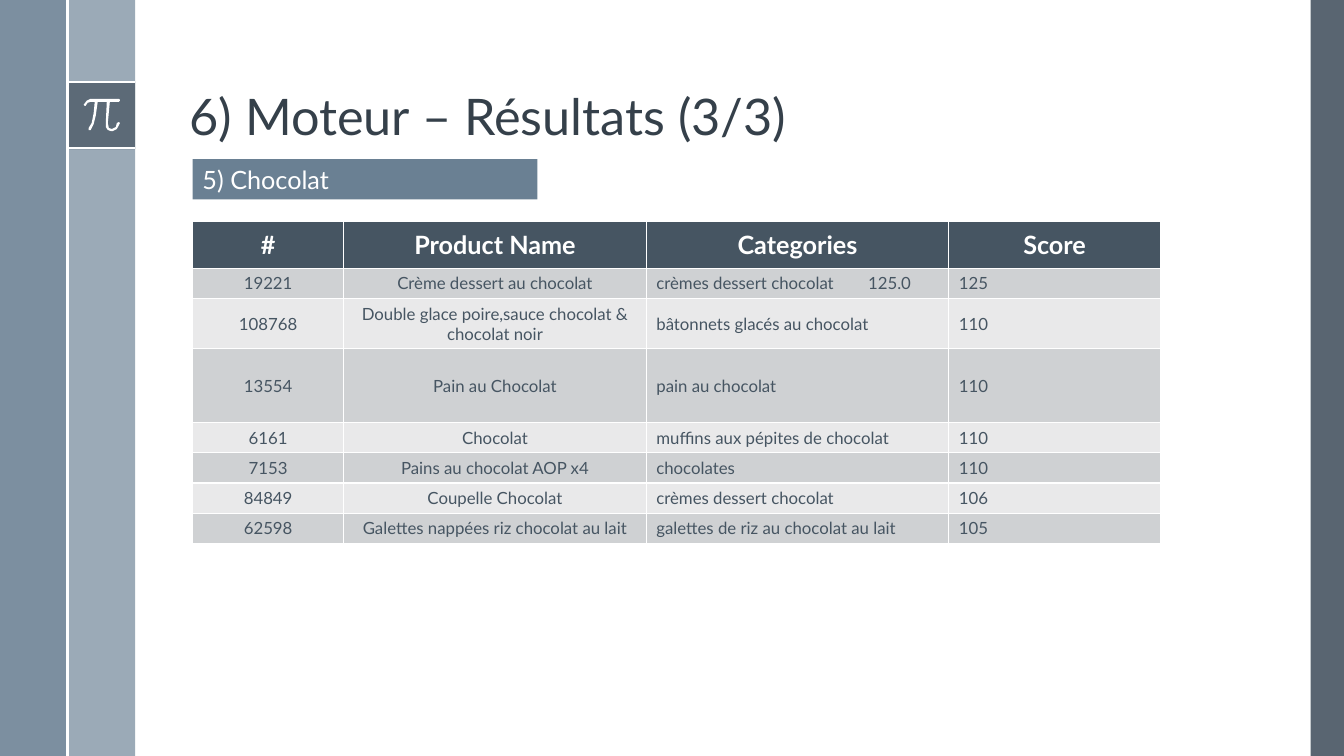
from dataclasses import dataclass

from lxml.etree import SubElement
from pptx import Presentation
from pptx.dml.color import RGBColor
from pptx.enum.shapes import MSO_CONNECTOR, MSO_SHAPE
from pptx.enum.text import MSO_ANCHOR, PP_ALIGN
from pptx.oxml.ns import qn
from pptx.util import Pt

PX = 9144
SLIDE_WIDTH, SLIDE_HEIGHT = 1333, 750


@dataclass(frozen=True)
class Theme:
    """Colours and type sizes of the slide."""
    font: str = "Lato"
    white: str = "FFFFFF"
    slate: str = "475562"
    mist: str = "9BAAB7"
    steel: str = "6A8093"
    title: str = "35404A"
    table_ink: str = "465562"
    odd_row: str = "CFD1D3"
    even_row: str = "E9E9EA"
    title_size: int = 36
    heading_size: int = 18
    cell_size: int = 12


THEME = Theme()

PI_OUTLINE = [
    (35, 0), (7, 0), (3, 2), (0, 6), (1, 7), (2, 7), (4, 4), (7, 3), (11, 3),
    (10, 14), (8, 24), (5, 29), (5, 31), (6, 31), (7, 31), (10, 25), (12, 17),
    (14, 3), (23, 3), (22, 24), (22, 28), (24, 31), (27, 32), (29, 32), (33, 30),
    (36, 24), (35, 23), (33, 24), (32, 28), (28, 30), (25, 29), (24, 24),
    (26, 3), (35, 3), (36, 2), (36, 1),
]

COLUMN_WIDTHS = [150, 300, 300, 210]
ROW_HEIGHTS = [46, 30, 50, 73, 30, 30, 30, 30]
RESULTS = [
    ("#", "Product Name", "Categories", "Score"),
    ("19221", "Crème dessert au chocolat", "crèmes dessert chocolat\t125.0", "125"),
    ("108768", "Double glace poire,sauce chocolat & chocolat noir",
     "bâtonnets glacés au chocolat", "110"),
    ("13554", "Pain au Chocolat", "pain au chocolat", "110"),
    ("6161", "Chocolat", "muffins aux pépites de chocolat", "110"),
    ("7153", "Pains au chocolat AOP x4", "chocolates", "110"),
    ("84849", "Coupelle Chocolat", "crèmes dessert chocolat", "106"),
    ("62598", "Galettes nappées riz chocolat au lait",
     "galettes de riz au chocolat au lait", "105"),
]


def emu(*lengths):
    """Turn px lengths into EMU."""
    return [length * PX for length in lengths]


def paint(shape, colour, opacity=100):
    """Give a shape a plain fill without outline or shadow."""
    shape.shadow.inherit = False
    shape.line.fill.background()
    shape.fill.solid()
    shape.fill.fore_color.rgb = RGBColor.from_string(colour)
    if opacity < 100:
        tint = shape.fill._xPr.find(qn("a:solidFill"))[0]
        SubElement(tint, qn("a:alpha"), val=str(opacity * 1000))


def add_block(slide, box, colour, opacity=100):
    """Add a filled rectangle in the given box."""
    block = slide.shapes.add_shape(MSO_SHAPE.RECTANGLE, *emu(*box))
    paint(block, colour, opacity)
    return block


def add_rule(slide, x1, y1, x2, y2):
    """Add a thin white line."""
    rule = slide.shapes.add_connector(MSO_CONNECTOR.STRAIGHT, *emu(x1, y1, x2, y2))
    rule.line.color.rgb = RGBColor.from_string(THEME.white)
    rule.line.width = Pt(1.5)
    SubElement(rule._element.spPr, qn("a:effectLst"))


def style_text(paragraph, size, colour, align=PP_ALIGN.LEFT, bold=False):
    """Format a paragraph and its runs."""
    paragraph.alignment = align
    for run in paragraph.runs:
        run.font.name = THEME.font
        run.font.size = Pt(size)
        run.font.bold = bold
        run.font.color.rgb = RGBColor.from_string(colour)


def add_side_bands(slide, box):
    """Draw the left bands with the pi badge and the right edge."""
    left, top, width, height = box
    band, edge = 67, 33
    badge_left, badge_top = left + band, top + 81
    badge_right = badge_left + band
    add_block(slide, (left + width - edge, top, edge, height), THEME.slate, 90)
    add_block(slide, (badge_left, top, band, height), THEME.mist)
    add_block(slide, (left, top, band, height), THEME.steel, 88)
    add_block(slide, (badge_left, badge_top, band, band), THEME.slate, 75)
    for y in (badge_top, badge_top + 66):
        add_rule(slide, badge_left, y, badge_right, y)
    outline = slide.shapes.build_freeform(*PI_OUTLINE[0], scale=PX)
    outline.add_line_segments(PI_OUTLINE[1:], close=True)
    pi_sign = outline.convert_to_shape(*emu(badge_left + 16, badge_top + 17))
    paint(pi_sign, THEME.white)
    add_rule(slide, badge_left, top, badge_left, top + height)


def fill_title(slide, box):
    """Place and format the slide title."""
    title = slide.shapes.title
    title.left, title.top, title.width, title.height = emu(*box)
    title.text_frame.text = "6) Moteur – Résultats (3/3)"
    title.text_frame.vertical_anchor = MSO_ANCHOR.BOTTOM
    heading = title.text_frame.paragraphs[0]
    heading.line_spacing = 0.9
    style_text(heading, THEME.title_size, THEME.title)


def add_query_label(slide, box):
    """Add the label naming the search query."""
    label = add_block(slide, box, THEME.steel)
    label.text_frame.text = "5) Chocolat"
    style_text(label.text_frame.paragraphs[0], THEME.heading_size, THEME.white)


def fill_cell(cell, text, row, column):
    """Write one table cell and format it by its row and column."""
    header = row == 0
    body_fill = THEME.odd_row if row % 2 else THEME.even_row
    cell.fill.solid()
    cell.fill.fore_color.rgb = RGBColor.from_string(
        THEME.table_ink if header else body_fill)
    cell.vertical_anchor = MSO_ANCHOR.MIDDLE
    cell.text_frame.text = text
    paragraph = cell.text_frame.paragraphs[0]
    style_text(
        paragraph,
        THEME.heading_size if header else THEME.cell_size,
        THEME.white if header else THEME.table_ink,
        PP_ALIGN.CENTER if header or column < 2 else PP_ALIGN.LEFT,
        header,
    )
    if "\t" in text:
        stops = SubElement(paragraph._p.get_or_add_pPr(), qn("a:tabLst"))
        SubElement(stops, qn("a:tab"), pos=str(210 * PX), algn="l")


def add_results_table(slide, left, top):
    """Add the table of search results."""
    box = emu(left, top, sum(COLUMN_WIDTHS), sum(ROW_HEIGHTS))
    table = slide.shapes.add_table(len(RESULTS), len(COLUMN_WIDTHS), *box).table
    for column, width in zip(table.columns, COLUMN_WIDTHS):
        column.width = width * PX
    for row, height in zip(table.rows, ROW_HEIGHTS):
        row.height = height * PX
    for row, result in enumerate(RESULTS):
        for column, text in enumerate(result):
            fill_cell(table.cell(row, column), text, row, column)


def main():
    """Build and save the slide."""
    deck = Presentation()
    deck.slide_width, deck.slide_height = emu(SLIDE_WIDTH, SLIDE_HEIGHT)
    slide = deck.slides.add_slide(deck.slide_layouts.get_by_name("Title Only"))
    add_side_bands(slide, (0, 0, SLIDE_WIDTH, SLIDE_HEIGHT))
    fill_title(slide, (178, 14, 1070, 136))
    add_results_table(slide, 191, 220)
    add_query_label(slide, (191, 158, 342, 40))
    deck.save("out.pptx")


if __name__ == "__main__":
    main()
